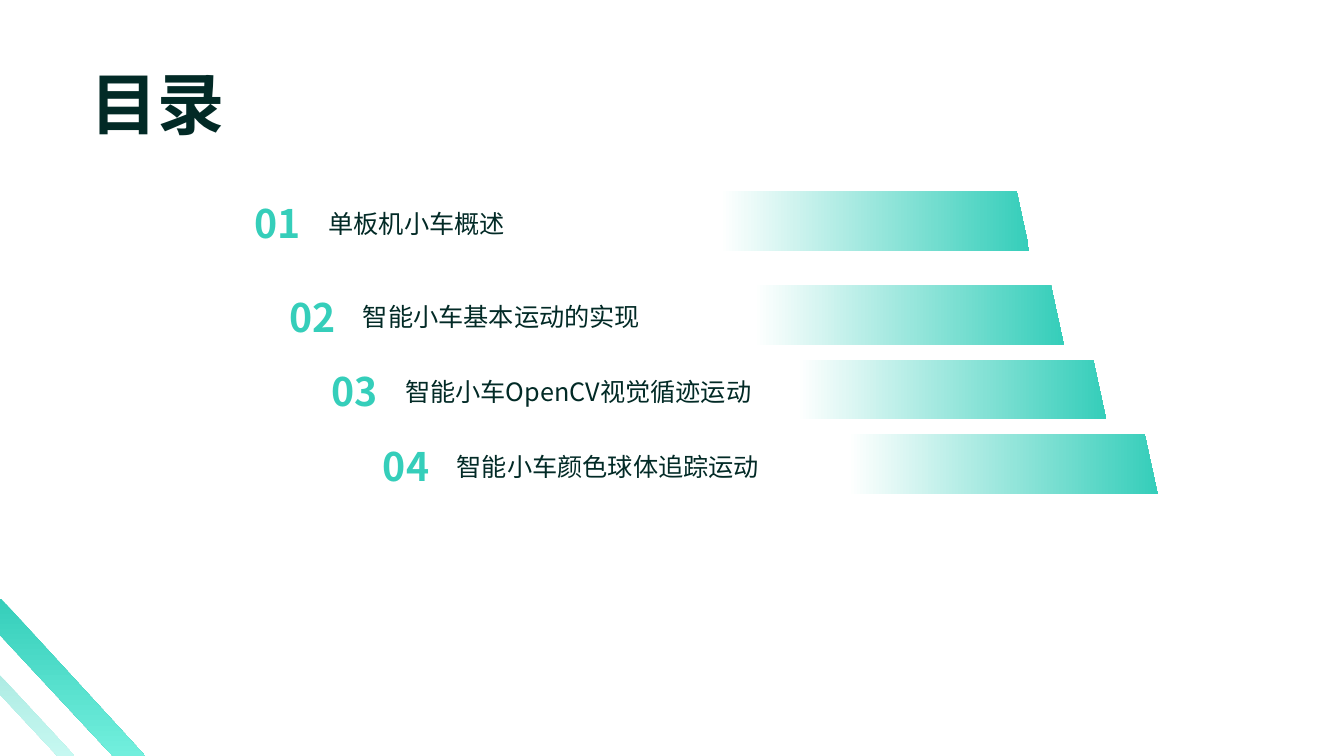
from lxml import etree
from pptx import Presentation
from pptx.dml.color import RGBColor
from pptx.enum.shapes import MSO_SHAPE
from pptx.enum.text import MSO_ANCHOR, MSO_AUTO_SIZE, PP_ALIGN
from pptx.oxml.ns import qn
from pptx.util import Inches, Pt

SLANT = MSO_SHAPE.PARALLELOGRAM
TOP, MIDDLE = MSO_ANCHOR.TOP, MSO_ANCHOR.MIDDLE
FIXED = MSO_AUTO_SIZE.NONE
LEFT, CENTER = PP_ALIGN.LEFT, PP_ALIGN.CENTER

INK = RGBColor(0x02, 0x2A, 0x26)
TEAL = RGBColor(0x35, 0xCE, 0xBA)
MINT = RGBColor(0x72, 0xEF, 0xDD)
WHITE = RGBColor(0xFF, 0xFF, 0xFF)
FONT = "Noto Sans CJK SC"

WIDE, HIGH = Inches(13.33), Inches(7.5)

ITEMS = [
    (15.98, 25.33, "单板机小车概述"),
    (18.53, 37.73, "智能小车基本运动的实现"),
    (21.68, 47.6, "智能小车OpenCV视觉循迹运动"),
    (25.51, 57.47, "智能小车颜色球体追踪运动"),
]
STRIPES = [
    ([(0, 89.33), (5.55, 100), (4.28, 100), (0, 91.87)], 40),
    ([(0, 79.2), (0.08, 79.2), (10.8, 100), (8.4, 100), (0, 84)], 100),
]


def place(x, y):
    """Turn percent shares of the slide into a pair of lengths."""
    return round(WIDE * x / 100), round(HIGH * y / 100)


def blend(shape, stops, angle, alpha=100):
    """Fill a shape with a two-stop gradient, without line or shadow."""
    shape.shadow.inherit = False
    shape.line.fill.background()
    shape.fill.gradient()
    shape.fill.gradient_angle = angle
    for stop, (share, color) in zip(shape.fill.gradient_stops, stops):
        stop.position = share
        stop.color.rgb = color
    if alpha < 100:
        for color in shape.element.spPr.iter(qn("a:srgbClr")):
            etree.SubElement(color, qn("a:alpha")).set("val", str(alpha * 1000))


def write(shape, text, size, color, bold=False, align=LEFT, anchor=MIDDLE):
    """Put one styled run into a shape."""
    frame = shape.text_frame
    frame.word_wrap = True
    frame.auto_size = FIXED
    frame.vertical_anchor = anchor
    para = frame.paragraphs[0]
    para.alignment = align
    run = para.add_run()
    run.text = text
    font = run.font
    font.name, font.size, font.bold = FONT, Pt(size), bold
    font.color.rgb = color
    east = etree.SubElement(run._r.get_or_add_rPr(), qn("a:ea"))
    east.set("typeface", FONT)


def add_title(slide, text):
    """Move and fill the title placeholder."""
    title = slide.shapes.title
    title.left, title.top = place(5.18, 7.6)
    title.width, title.height = place(13.05, 13.47)
    write(title, text, 48, INK, True, CENTER, TOP)


def add_stripe(slide, points, alpha):
    """Draw one slanted corner stripe."""
    spots = [place(x, y) for x, y in points]
    builder = slide.shapes.build_freeform(*spots[0])
    builder.add_line_segments(spots[1:])
    blend(builder.convert_to_shape(), [(0, TEAL), (1, MINT)], 270, alpha)


def add_item(slide, number, x, y, text):
    """Add a grouped agenda row: fading bar, label and number."""
    shapes = slide.shapes.add_group_shape().shapes
    bar = shapes.add_shape(SLANT, *place(x, y), *place(60.62, 7.87))
    bar.adjustments[0] = 0.217
    bar.element.spPr.find(qn("a:xfrm")).set("flipH", "1")
    blend(bar, [(0.62, WHITE), (1, TEAL)], 180)
    label = shapes.add_textbox(*place(x + 7.73, y - 0.5), *place(52.89, 9.33))
    write(label, text, 18, INK)
    digits = shapes.add_textbox(*place(x + 2.25, y + 0.13), *place(5.18, 8))
    write(digits, f"{number:02}", 28, TEAL, True)


def main():
    """Build the agenda slide and save it."""
    deck = Presentation()
    deck.slide_width, deck.slide_height = WIDE, HIGH
    slide = deck.slides.add_slide(deck.slide_layouts[5])
    for points, alpha in STRIPES:
        add_stripe(slide, points, alpha)
    add_title(slide, "目录")
    for number, item in enumerate(ITEMS, 1):
        add_item(slide, number, *item)
    deck.save("out.pptx")


if __name__ == "__main__":
    main()
